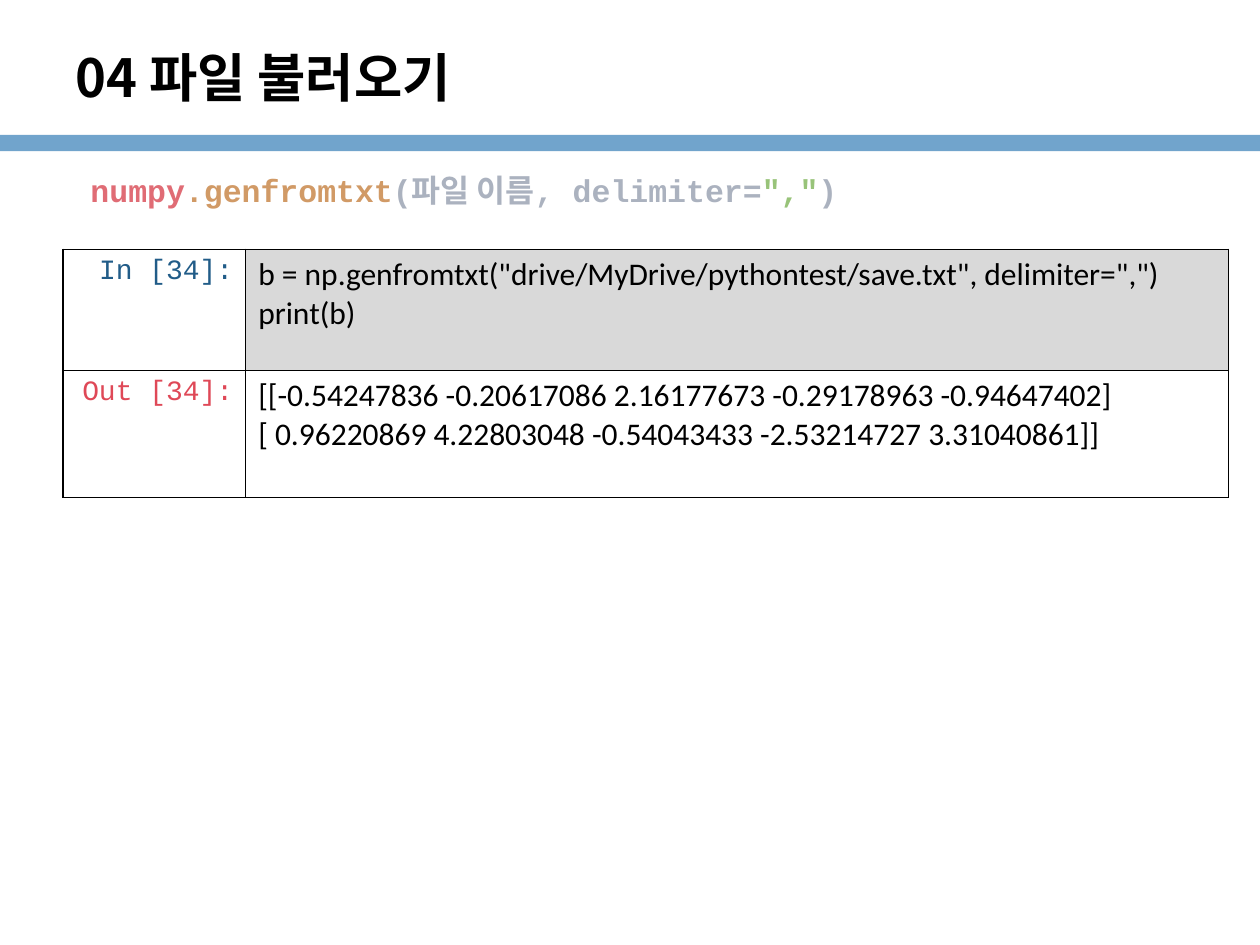
from pptx import Presentation
from pptx.dml.color import RGBColor as Color
from pptx.enum.shapes import MSO_SHAPE as Preset
from pptx.enum.text import MSO_ANCHOR as Anchor, PP_ALIGN as Align
from pptx.oxml.ns import qn
from pptx.util import Inches, Pt
from lxml.etree import SubElement

THEME = {
    "title_font": "Noto Sans CJK KR", "code_font": "Courier New", "body_font": "Calibri",
    "title_size": 30, "body_size": 18, "label_size": 16,
    "black": "000000", "bar": "71A4CC", "input_fill": "D9D9D9",
    "in": "215C88", "out": "DF4857",
    "module": "E06C75", "function": "D19A66", "plain": "ABB2BF", "string": "98C379",
}


def style_run(run, font, size, color, bold=False):
    run.font.name = THEME[font]
    run.font.size = Pt(THEME[size])
    run.font.bold = bold
    run.font.color.rgb = Color.from_string(THEME[color])
    east_asian = SubElement(run.font._element, qn("a:ea"))
    east_asian.set("typeface", THEME["title_font"])


def add_borders(cell):
    properties = cell._tc.get_or_add_tcPr()
    for index, side in enumerate(("lnL", "lnR", "lnT", "lnB")):
        line = SubElement(properties, qn(f"a:{side}"), w=str(Pt(1)))
        fill = SubElement(line, qn("a:solidFill"))
        SubElement(fill, qn("a:srgbClr"), val=THEME["black"])
        properties.insert(index, line)


presentation = Presentation()
presentation.slide_width, presentation.slide_height = Inches(10), Inches(7.5)
slide = presentation.slides.add_slide(presentation.slide_layouts[6])
left = Inches(0.5)

# Bar under the title
bar = slide.shapes.add_shape(
    Preset.RECTANGLE, 0, Inches(1.07), presentation.slide_width, Inches(0.13))
bar.shadow.inherit = False
bar.fill.solid()
bar.fill.fore_color.rgb = Color.from_string(THEME["bar"])
bar.line.fill.background()

# Title
title = slide.shapes.add_textbox(left, Inches(0.3), Inches(7.83), Inches(0.62))
title.text_frame.word_wrap = True
title.text_frame.vertical_anchor = Anchor.MIDDLE
title.text_frame.text = "04 파일 불러오기"
style_run(title.text_frame.paragraphs[0].runs[0], "title_font", "title_size", "black", True)

# Notebook cells: label column and content column
rows = [
    ("In [34]:", "in",
     'b = np.genfromtxt("drive/MyDrive/pythontest/save.txt", delimiter=",")\nprint(b)'),
    ("Out [34]:", "out",
     "[[-0.54247836 -0.20617086 2.16177673 -0.29178963 -0.94647402]\v"
     "[ 0.96220869 4.22803048 -0.54043433 -2.53214727 3.31040861]]"),
]
table = slide.shapes.add_table(
    len(rows), 2, left, Inches(1.98), Inches(9.25), Inches(1.97)).table
table.first_row = table.horz_banding = False
for column, width in zip(table.columns, (1.45, 7.8)):
    column.width = Inches(width)
for row, height in zip(table.rows, (0.96, 1.01)):
    row.height = Inches(height)

for row, (label, label_color, content) in zip(table.rows, rows):
    label_cell, content_cell = row.cells
    label_cell.text_frame.text = label
    label_cell.text_frame.paragraphs[0].alignment = Align.RIGHT
    content_cell.text_frame.text = content
    for cell, style in (
        (label_cell, ("code_font", "label_size", label_color)),
        (content_cell, ("body_font", "body_size", "black")),
    ):
        cell.fill.background()
        add_borders(cell)
        for paragraph in cell.text_frame.paragraphs:
            for run in paragraph.runs:
                style_run(run, *style)

input_cell = table.cell(0, 1)
input_cell.fill.solid()
input_cell.fill.fore_color.rgb = Color.from_string(THEME["input_fill"])

# Function signature with syntax colours
signature = slide.shapes.add_textbox(Inches(0.62), Inches(1.31), Inches(8.44), Inches(0.4))
signature.text_frame.word_wrap = True
for text, color in (
    ("numpy", "module"), (".genfromtxt", "function"),
    ("(파일 이름, delimiter=", "plain"), ('","', "string"), (")", "plain"),
):
    run = signature.text_frame.paragraphs[0].add_run()
    run.text = text
    style_run(run, "code_font", "body_size", color, True)

presentation.save("out.pptx")
